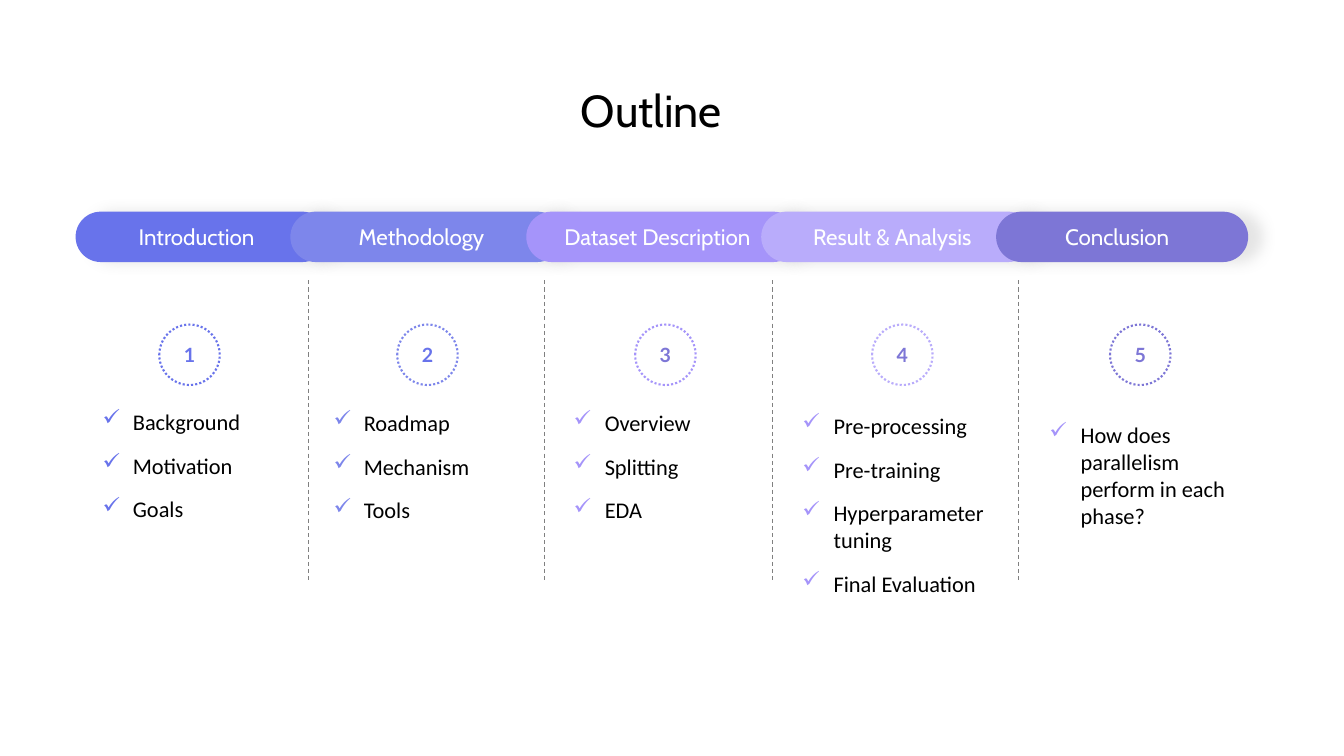
import pptx
import pptx.dml.color
import pptx.enum.dml
import pptx.enum.shapes
import pptx.enum.text
import pptx.oxml
import pptx.oxml.ns
import pptx.util
from lxml import etree

EMU_PER_PX = 9144  # 100 px to the inch
COLORS = {
    "black": "000000",
    "white": "FFFFFF",
    "gray": "808080",
    "shadow": "BFBFBF",
    "indigo": "6873EB",
    "blue": "7D86EB",
    "violet": "A594FA",
    "lilac": "B9ACFB",
    "purple": "7D76D6",
}
# heading, pill left, pill width, pill color, number color
STAGES = [
    ("Introduction", 75, 250, "indigo", "indigo"),
    ("Methodology", 288, 270, "blue", "indigo"),
    ("Dataset Description", 522, 270, "violet", "purple"),
    ("Result & Analysis", 755, 270, "lilac", "purple"),
    ("Conclusion", 988, 250, "purple", "purple"),
]
# box, indent, check color, topics
TOPIC_LISTS = [
    ((92, 400, 196, 125), 30, "indigo", ["Background", "Motivation", "Goals"]),
    ((321, 401, 218, 125), 30, "blue", ["Roadmap", "Mechanism", "Tools"]),
    ((559, 401, 207, 125), 31, "violet", ["Overview", "Splitting", "EDA"]),
    ((786, 404, 203, 195), 31, "violet",
     ["Pre-processing", "Pre-training", "Hyperparameter tuning", "Final Evaluation"]),
    ((1031, 413, 210, 118), 31, "violet",
     ["How does parallelism perform in each phase?"]),
]
DIVIDERS = [306, 540, 766, 1010]
CIRCLE_PITCH = 235.75


def px(length):
    return pptx.util.Emu(length * EMU_PER_PX)


def rgb(name):
    return pptx.dml.color.RGBColor.from_string(COLORS[name])


class OutlineSlide:
    def __init__(self, presentation):
        self.slide = presentation.slides.add_slide(presentation.slide_layouts[6])
        self.shapes = self.slide.shapes

    def format_text(self, paragraph, size, font, color, bold=False):
        for run in paragraph.runs:
            run.font.size = pptx.util.Pt(size)
            run.font.name = font
            run.font.bold = bold
            run.font.color.rgb = rgb(color)

    def center_text(self, frame, text, size, font, color, margins, bold=False):
        """Fill the frame with one centred line; margins are left, top, right, bottom."""
        frame.text = text
        frame.word_wrap = True
        frame.vertical_anchor = pptx.enum.text.MSO_ANCHOR.MIDDLE
        (frame.margin_left, frame.margin_top,
         frame.margin_right, frame.margin_bottom) = map(px, margins)
        line = frame.paragraphs[0]
        line.alignment = pptx.enum.text.PP_ALIGN.CENTER
        self.format_text(line, size, font, color, bold)
        return line

    def title(self, text, box):
        frame = self.shapes.add_textbox(*map(px, box)).text_frame
        line = self.center_text(frame, text, 32, "Cabin", "black", (10, 0, 10, 0))
        line.line_spacing = 0.9

    def pill(self, heading, left, width, color):
        pill = self.shapes.add_shape(
            pptx.enum.shapes.MSO_SHAPE.ROUNDED_RECTANGLE,
            px(left), px(210), px(width), px(50))
        pill.adjustments[0] = 0.5
        pill.fill.solid()
        pill.fill.fore_color.rgb = rgb(color)
        pill.line.fill.background()
        self.cast_shadow(pill)
        self.center_text(pill.text_frame, heading, 16, "Cabin", "white", (0, 5, 10, 5))

    def cast_shadow(self, shape):
        """Give the shape a soft shadow to its right."""
        shape.shadow.inherit = False
        effects = shape.element.spPr.find(pptx.oxml.ns.qn("a:effectLst"))
        reach = str(pptx.util.Pt(10))
        effects.append(pptx.oxml.parse_xml(
            f'<a:outerShdw {pptx.oxml.ns.nsdecls("a")} blurRad="{reach}" dist="{reach}" '
            f'dir="0" algn="l" rotWithShape="0"><a:srgbClr val="{COLORS["shadow"]}">'
            '<a:alpha val="40000"/></a:srgbClr></a:outerShdw>'))

    def number_circle(self, number, left, ring_color, number_color):
        circle = self.shapes.add_shape(
            pptx.enum.shapes.MSO_SHAPE.OVAL, px(left), px(322), px(60), px(60))
        circle.shadow.inherit = False
        circle.fill.background()
        circle.line.color.rgb = rgb(ring_color)
        circle.line.width = pptx.util.Pt(1.5)
        circle.line.dash_style = pptx.enum.dml.MSO_LINE.ROUND_DOT
        self.center_text(circle.text_frame, str(number), 14, "Lato", number_color,
                         (10, 5, 10, 5), bold=True)

    def divider(self, x):
        divider = self.shapes.add_connector(
            pptx.enum.shapes.MSO_CONNECTOR.STRAIGHT, px(x), px(278), px(x), px(578))
        divider.line.color.rgb = rgb("gray")
        divider.line.width = pptx.util.Pt(0.75)
        divider.line.dash_style = pptx.enum.dml.MSO_LINE.DASH
        etree.SubElement(divider.element.spPr, pptx.oxml.ns.qn("a:effectLst"))

    def checklist(self, box, indent, check_color, topics):
        frame = self.shapes.add_textbox(*map(px, box)).text_frame
        frame.text = "\n".join(topics)
        frame.word_wrap = True
        frame.auto_size = pptx.enum.text.MSO_AUTO_SIZE.SHAPE_TO_FIT_TEXT
        for position, topic in enumerate(frame.paragraphs):
            self.add_check(topic, indent, check_color)
            if position:
                topic.space_before = pptx.util.Pt(12)
            self.format_text(topic, 16, "Calibri", "black")

    def add_check(self, paragraph, indent, color):
        """Hang the paragraph behind a coloured check mark."""
        qn = pptx.oxml.ns.qn
        properties = paragraph._p.get_or_add_pPr()
        properties.set("marL", str(px(indent)))
        properties.set("indent", str(-px(indent)))
        check_color = etree.SubElement(properties, qn("a:buClr"))
        etree.SubElement(check_color, qn("a:srgbClr"), val=COLORS[color])
        etree.SubElement(properties, qn("a:buChar"), char="✓")


def main():
    presentation = pptx.Presentation()
    presentation.slide_width = px(1333)
    presentation.slide_height = px(750)
    outline = OutlineSlide(presentation)

    outline.title("Outline", (495, 65, 302, 94))
    for x in DIVIDERS:
        outline.divider(x)
    for index, (heading, left, width, color, number_color) in enumerate(STAGES):
        outline.pill(heading, left, width, color)
        circle_left = 158 + round(CIRCLE_PITCH * index)
        outline.number_circle(index + 1, circle_left, color, number_color)
    for topic_list in TOPIC_LISTS:
        outline.checklist(*topic_list)

    presentation.save("out.pptx")


if __name__ == "__main__":
    main()
